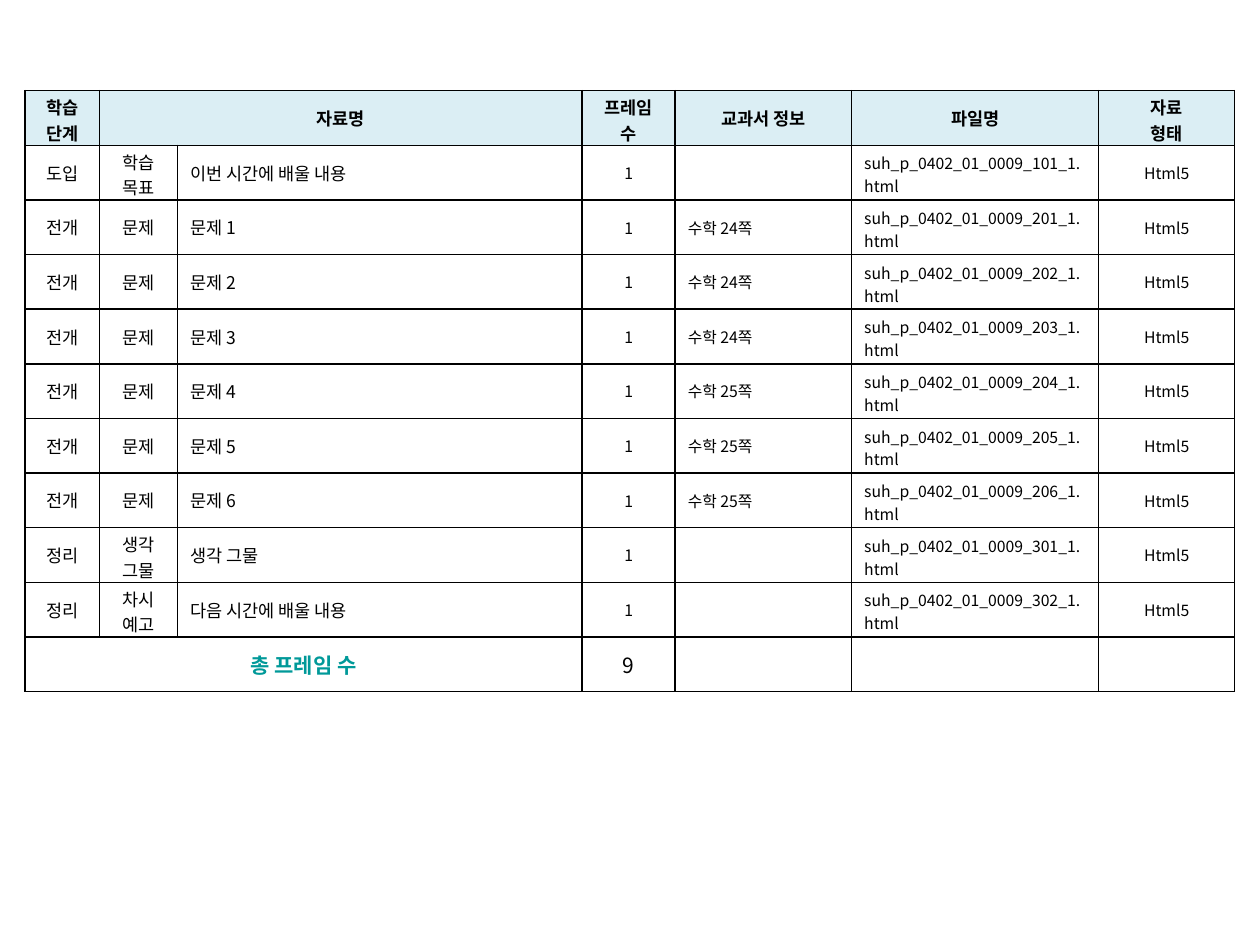
import pptx
import pptx.dml.color
import pptx.enum.text
import pptx.oxml.ns
import pptx.util
from lxml import etree

Inches = pptx.util.Inches
Align = pptx.enum.text.PP_ALIGN
qn = pptx.oxml.ns.qn

FONT = "Noto Sans CJK KR"
BLACK = "000000"
TEAL = "009999"
PALE_BLUE = "DBEEF4"
COLUMN_WIDTHS = [0.59, 0.62, 3.21, 0.74, 1.4, 1.96, 1.08]
COLUMN_ALIGNS = [Align.CENTER, Align.CENTER, Align.LEFT, Align.CENTER,
                 Align.JUSTIFY, Align.JUSTIFY, Align.CENTER]
COLUMN_SIZES = [10, 10, 10, 9, 9, 9, 9]
HEADER = ["학습 단계", "자료명", "", "프레임 수", "교과서 정보", "파일명", "자료\n형태"]
TOTAL = ["총 프레임 수", "", "", "9", "", "", ""]
PROBLEM_PAGES = [24, 24, 24, 25, 25, 25]
TABLE_HEIGHT = 4.77
TWO_LINE_HEADINGS = {"학습 단계", "프레임 수", "차시 예고"}


def color(value):
    return pptx.dml.color.RGBColor.from_string(value)


def lesson_row(stage, kind, title, page, number):
    file_name = f"suh_p_0402_01_0009_{number}_1.html"
    return [stage, kind, title, "1", page, file_name, "Html5"]


def lesson_rows():
    problems = [
        lesson_row("전개", "문제", f"문제 {index}", f"수학 {page}쪽", 200 + index)
        for index, page in enumerate(PROBLEM_PAGES, 1)
    ]
    return [
        lesson_row("도입", "학습\n목표", "이번 시간에 배울 내용", "", 101),
        *problems,
        lesson_row("정리", "생각\n그물", "생각 그물", "", 301),
        lesson_row("정리", "차시 예고", "다음 시간에 배울 내용", "", 302),
    ]


def write_text(cell, text, size=10, align=Align.CENTER, bold=False, ink=BLACK):
    frame = cell.text_frame
    for index, line in enumerate(text.split("\n")):
        para = frame.add_paragraph() if index else frame.paragraphs[0]
        para.alignment = align
        if not line:
            etree.SubElement(para._p, qn("a:endParaRPr"), sz=str(size * 100))
            continue
        span = para.add_run()
        span.text = line
        span.font.size = pptx.util.Pt(size)
        span.font.bold = bold
        span.font.name = FONT
        span.font.color.rgb = color(ink)
        etree.SubElement(span._r.get_or_add_rPr(), qn("a:ea"), typeface=FONT)


def set_borders(cell, ink=BLACK, width=1):
    properties = cell._tc.get_or_add_tcPr()
    for side in ("L", "R", "T", "B"):
        line = etree.SubElement(properties, qn(f"a:ln{side}"),
                                w=str(pptx.util.Pt(width)))
        fill = etree.SubElement(line, qn("a:solidFill"))
        etree.SubElement(fill, qn("a:srgbClr"), val=ink)


def set_margins(cell, text):
    cell.margin_left = cell.margin_right = Inches(0.1)
    top, bottom = 0.05, 0.05
    if text.endswith(".html"):
        top, bottom = 0.05, 0.02
    elif "\n" in text or text in TWO_LINE_HEADINGS:
        top, bottom = 0.03, 0
    cell.margin_top = Inches(top)
    cell.margin_bottom = Inches(bottom)


def format_cell(cell, text, fill=None):
    set_borders(cell)
    if fill:
        cell.fill.solid()
        cell.fill.fore_color.rgb = color(fill)
    else:
        cell.fill.background()
    cell.vertical_anchor = pptx.enum.text.MSO_ANCHOR.MIDDLE
    set_margins(cell, text)


def add_lesson_table(page):
    rows = [HEADER, *lesson_rows(), TOTAL]
    last = len(rows) - 1
    frame = page.shapes.add_table(len(rows), len(COLUMN_WIDTHS), Inches(0.2),
                                  Inches(0.72), Inches(9.6), Inches(TABLE_HEIGHT))
    table = frame.table
    table.first_row = False
    table.horz_banding = False
    for column, width in zip(table.columns, COLUMN_WIDTHS):
        column.width = Inches(width)
    for row in table.rows:
        row.height = Inches(TABLE_HEIGHT / len(rows))

    for r, texts in enumerate(rows):
        for c, text in enumerate(texts):
            cell = table.cell(r, c)
            format_cell(cell, text, fill=PALE_BLUE if r == 0 else None)
            if r == 0:
                write_text(cell, text, bold=True)
            elif r == last:
                heading = c == 0
                write_text(cell, text, size=12, bold=heading,
                           ink=TEAL if heading else BLACK)
            else:
                write_text(cell, text, size=COLUMN_SIZES[c], align=COLUMN_ALIGNS[c])

    table.cell(0, 1).merge(table.cell(0, 2))
    table.cell(last, 0).merge(table.cell(last, 2))


def main():
    deck = pptx.Presentation()
    deck.slide_width = Inches(10)
    deck.slide_height = Inches(7.5)
    page = deck.slides.add_slide(deck.slide_layouts[6])
    add_lesson_table(page)
    deck.save("out.pptx")


if __name__ == "__main__":
    main()
